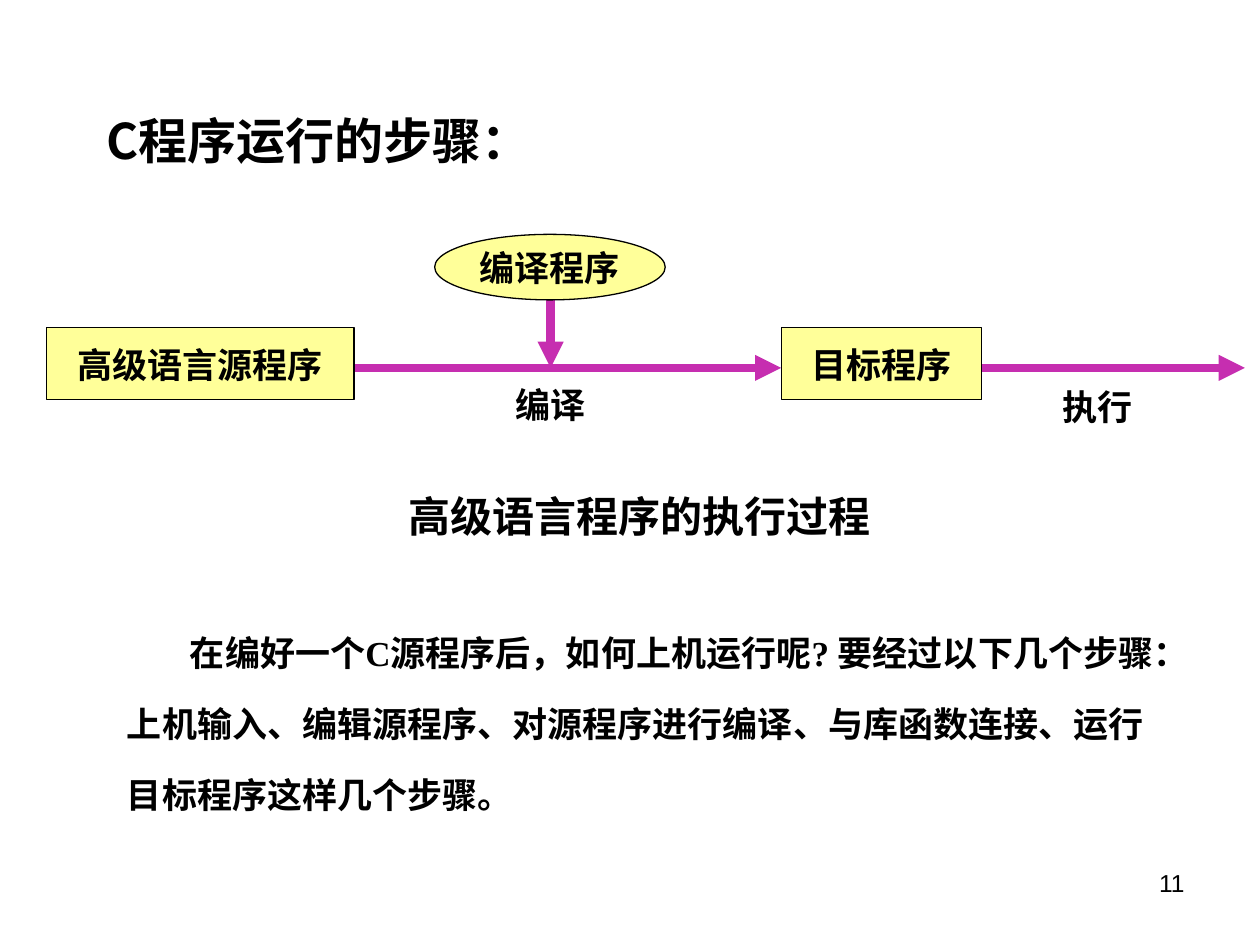
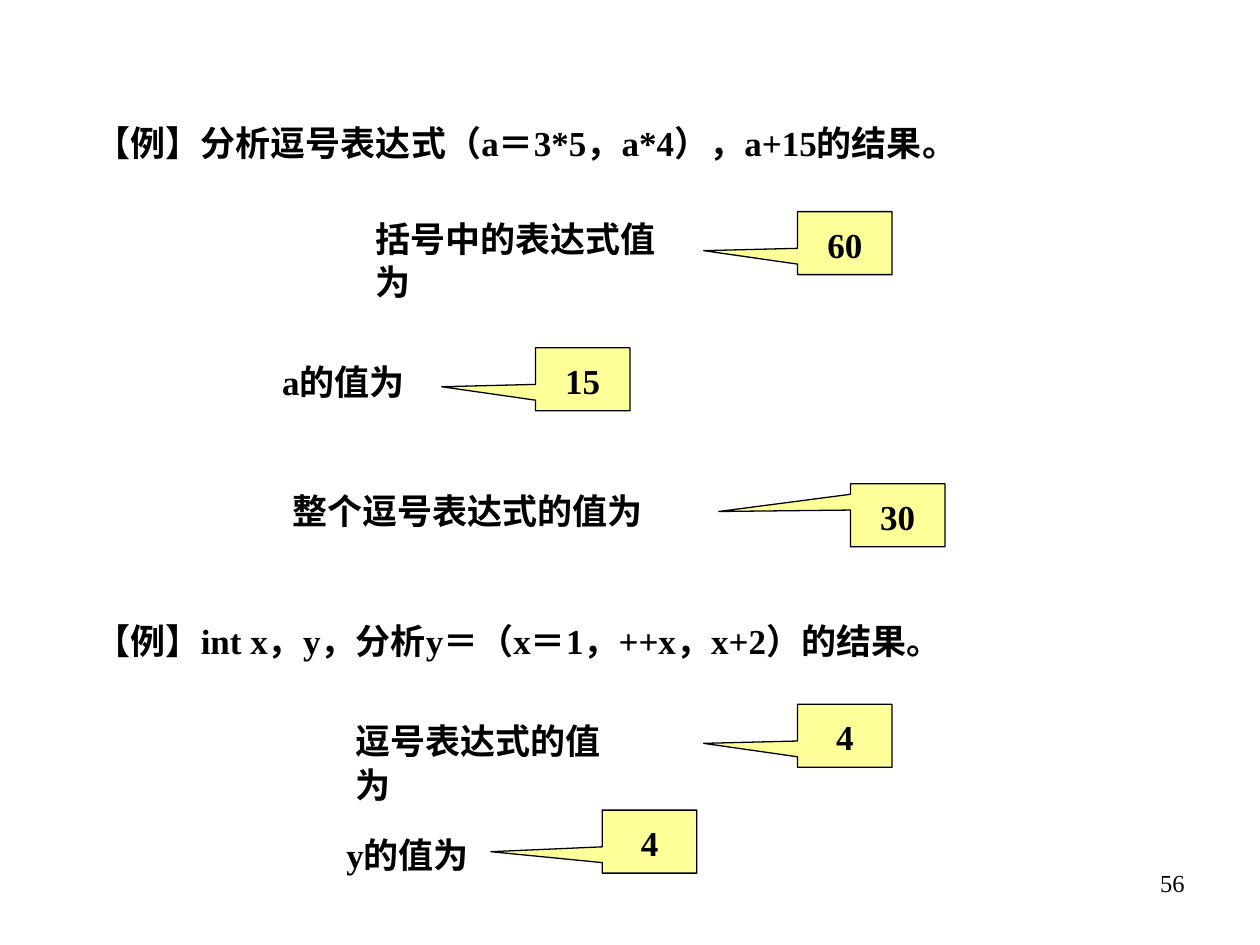
from dataclasses import dataclass
from functools import partial

from lxml.etree import SubElement
from pptx import Presentation
from pptx.dml.color import RGBColor
from pptx.enum.shapes import MSO_CONNECTOR, MSO_SHAPE as Preset
from pptx.enum.text import MSO_ANCHOR as Anchor, PP_ALIGN as Align
from pptx.oxml.ns import qn
from pptx.util import Pt

PX = 9144  # 100 px to the inch
BLACK, YELLOW, PURPLE = "000000", "FFFF99", "C62EB0"
SANS, SERIF, ARIAL = "Noto Sans CJK SC", "Times New Roman", "Arial"
BODY_SIZE = 20
LEADING = 1.25


@dataclass(frozen=True)
class Area:
    left: int
    top: int
    width: int
    height: int

    def emu(self) -> tuple[int, ...]:
        return tuple(v * PX for v in (self.left, self.top, self.width, self.height))


@dataclass(frozen=True)
class Style:
    font: str = SERIF
    size: int = BODY_SIZE
    bold: bool = True
    align: Align = Align.LEFT
    leading: float = LEADING
    indent: int = 0
    wrap: bool = True


@dataclass(frozen=True)
class Label:
    text: str
    area: Area
    style: Style


@dataclass(frozen=True)
class Node:
    text: str
    area: Area
    preset: Preset


@dataclass(frozen=True)
class Arrow:
    x1: int
    y1: int
    x2: int
    y2: int


@dataclass(frozen=True)
class Callout:
    """A value box; the tip is measured from the centre of the box."""
    value: str
    left: int
    top: int
    tip_x: int = -112
    tip_y: int = 6


CENTRED = Style(SANS, align=Align.CENTER)
NODE_STYLE = Style(SANS, align=Align.CENTER, wrap=False)
VALUE_STYLE = Style(align=Align.CENTER)
EXAMPLE_STYLE = Style(leading=2.2)
ANSWER_STYLE = Style(wrap=False)
CALLOUT_WIDTH, CALLOUT_HEIGHT = 75, 50
ARROW_Y = 292

NODES = [
    Node("高级语言源程序", Area(37, 260, 244, 57), Preset.RECTANGLE),
    Node("目标程序", Area(620, 260, 159, 57), Preset.RECTANGLE),
    Node("编译程序", Area(345, 186, 183, 52), Preset.OVAL),
]
ARROWS = [
    Arrow(282, ARROW_Y, 620, ARROW_Y),
    Arrow(778, ARROW_Y, 988, ARROW_Y),
    Arrow(437, 235, 437, ARROW_Y),
]
STEP_LABELS = [
    Label("C程序运行的步骤：", Area(75, 52, 377, 138), Style(SANS, 28, leading=2)),
    Label("编译", Area(373, 298, 128, 44), CENTRED),
    Label("执行", Area(807, 300, 128, 44), CENTRED),
    Label("高级语言程序的执行过程", Area(263, 383, 489, 50),
          Style(SANS, 24, align=Align.CENTER)),
    Label("在编好一个C源程序后，如何上机运行呢? 要经过以下几个步骤：上机输入、"
          "编辑源程序、对源程序进行编译、与库函数连接、运行目标程序这样几个步骤。",
          Area(91, 473, 843, 180), Style(leading=2.03, indent=50)),
]

answer = partial(Label, style=ANSWER_STYLE)
example = partial(Label, style=EXAMPLE_STYLE)
COMMA_LABELS = [
    example("【例】分析逗号表达式（a＝3*5，a*4），a+15的结果。", Area(66, 64, 859, 70)),
    answer("括号中的表达式值为", Area(288, 166, 270, 44)),
    answer("a的值为", Area(214, 280, 124, 44)),
    answer("整个逗号表达式的值为", Area(222, 382, 298, 44)),
    example("【例】int x，y，分析y＝（x＝1，++x，x+2）的结果。", Area(66, 459, 859, 70)),
    answer("逗号表达式的值为", Area(272, 565, 242, 44)),
    answer("y的值为", Area(265, 655, 124, 44)),
]
CALLOUTS = [
    Callout("60", 633, 168),
    Callout("15", 425, 276),
    Callout("30", 675, 384, -142, -3),
    Callout("4", 633, 559),
    Callout("4", 478, 643, -126, 8),
]


def rgb(colour: str) -> RGBColor:
    return RGBColor.from_string(colour)


def write(box, text: str, style: Style, anchor: Anchor) -> None:
    frame = box.text_frame
    frame.text = text
    frame.word_wrap = style.wrap
    frame.vertical_anchor = anchor
    para = frame.paragraphs[0]
    para.alignment = style.align
    para.line_spacing = Pt(style.size * style.leading)
    if style.indent:
        para._p.get_or_add_pPr().set("indent", str(style.indent * PX))
    for span in para.runs:
        font = span.font
        font.name, font.size, font.bold = style.font, Pt(style.size), style.bold
        font.color.rgb = rgb(BLACK)
        SubElement(span._r.get_or_add_rPr(), qn("a:ea"), typeface=SANS)


def add_label(page, label: Label) -> None:
    box = page.shapes.add_textbox(*label.area.emu())
    write(box, label.text, label.style, Anchor.TOP)


def add_node(page, node: Node, style: Style = NODE_STYLE):
    shape = page.shapes.add_shape(node.preset, *node.area.emu())
    shape.shadow.inherit = False
    shape.fill.solid()
    shape.fill.fore_color.rgb = rgb(YELLOW)
    shape.line.color.rgb = rgb(BLACK)
    shape.line.width = Pt(0.75)
    write(shape, node.text, style, Anchor.MIDDLE)
    return shape


def add_callout(page, callout: Callout) -> None:
    area = Area(callout.left, callout.top, CALLOUT_WIDTH, CALLOUT_HEIGHT)
    node = Node(callout.value, area, Preset.RECTANGULAR_CALLOUT)
    shape = add_node(page, node, VALUE_STYLE)
    shape.adjustments[0] = callout.tip_x / CALLOUT_WIDTH
    shape.adjustments[1] = callout.tip_y / CALLOUT_HEIGHT


def add_arrow(page, arrow: Arrow) -> None:
    ends = (v * PX for v in (arrow.x1, arrow.y1, arrow.x2, arrow.y2))
    connector = page.shapes.add_connector(MSO_CONNECTOR.STRAIGHT, *ends)
    connector.line.color.rgb = rgb(PURPLE)
    connector.line.width = Pt(5)
    properties = connector._element.spPr
    SubElement(properties.find(qn("a:ln")), qn("a:tailEnd"), type="triangle")
    SubElement(properties, qn("a:effectLst"))


def add_page(deck, number: int, number_font: str):
    page = deck.slides.add_slide(deck.slide_layouts[6])
    style = Style(number_font, 14, bold=False, align=Align.RIGHT)
    add_label(page, Label(str(number), Area(717, 683, 233, 52), style))
    return page


def build_steps(deck) -> None:
    page = add_page(deck, 11, ARIAL)
    for arrow in ARROWS:
        add_arrow(page, arrow)
    for node in NODES:
        add_node(page, node)
    for label in STEP_LABELS:
        add_label(page, label)


def build_comma_examples(deck) -> None:
    page = add_page(deck, 56, SERIF)
    for label in COMMA_LABELS:
        add_label(page, label)
    for callout in CALLOUTS:
        add_callout(page, callout)


def main() -> None:
    deck = Presentation()
    deck.slide_width, deck.slide_height = 1000 * PX, 750 * PX
    build_steps(deck)
    build_comma_examples(deck)
    deck.save("out.pptx")


if __name__ == "__main__":
    main()
